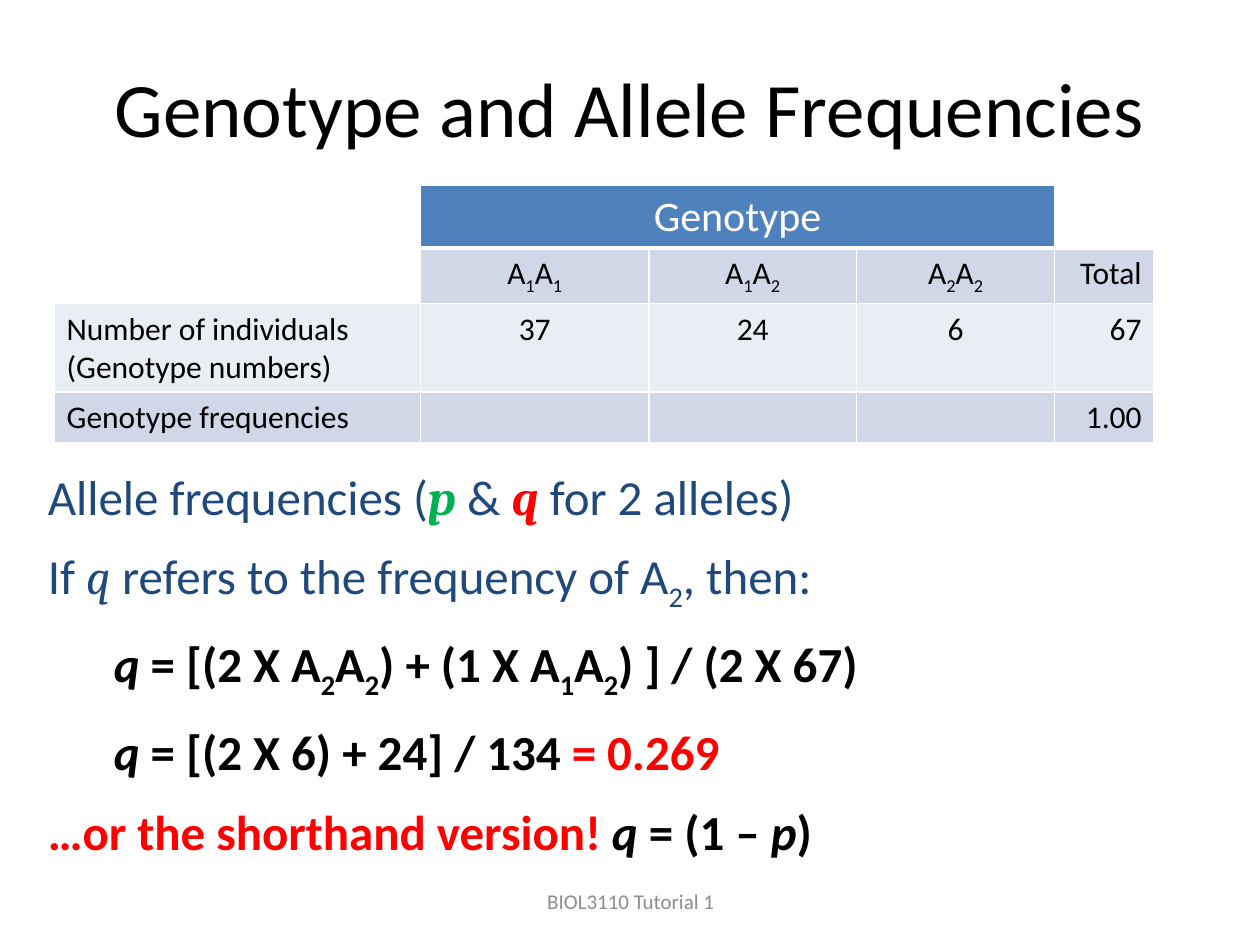
import pptx
import pptx.dml.color
import pptx.enum.text
import pptx.oxml
import pptx.oxml.ns
import pptx.util
from pptx.util import Cm

COLOURS = {
    "black": "000000", "white": "FFFFFF", "navy": "1F497D", "green": "00B050",
    "red": "FF0000", "grey": "8C8C8C", "header": "4F81BD", "dark band": "D0D8E8",
    "light band": "E9EDF4",
}
ALIGN = pptx.enum.text.PP_ALIGN
ANCHOR = pptx.enum.text.MSO_ANCHOR

TITLE = "Genotype and Allele Frequencies"
FOOTER = "BIOL3110 Tutorial 1"

COLUMN_WIDTHS = (7.39, 4.6, 4.19, 3.99, 2.01)
COLUMN_ALIGNS = (ALIGN.LEFT, ALIGN.CENTER, ALIGN.CENTER, ALIGN.CENTER, ALIGN.RIGHT)
# Row height, band colour, cell texts; genotype digits are subscripts
ROWS = [
    (1.22, "header", ("", "Genotype", "", "", "")),
    (1.09, "dark band", ("", "A1A1", "A1A2", "A2A2", "Total")),
    (1.78, "light band", ("Number of individuals (Genotype numbers)", "37", "24", "6", "67")),
    (1.02, "dark band", ("Genotype frequencies", "", "", "", "1.00")),
]
BLANK_CELLS = {(0, 0), (0, 4), (1, 0)}
GENOTYPES_ROW = 1

NAVY = {"colour": "navy"}
BOLD = {"colour": "black", "bold": True}
BOLD_ITALIC = {**BOLD, "italic": True}
BOLD_SUB = {**BOLD, "subscript": True}
BOLD_RED = {**BOLD, "colour": "red"}
SYMBOL = {"name": "Cambria", "italic": True}
# Left indent, then the spans of the line
LINES = [
    (0, [("Allele frequencies (", NAVY), ("p", {**SYMBOL, "bold": True, "colour": "green"}),
         (" & ", NAVY), ("q", {**SYMBOL, "bold": True, "colour": "red"}),
         (" for 2 alleles)", NAVY)]),
    (0, [("If ", NAVY), ("q", {**SYMBOL, **NAVY}), (" refers to the frequency of A", NAVY),
         ("2", {**NAVY, "subscript": True}), (", then:", NAVY)]),
    (1.33, [("q", BOLD_ITALIC), (" = [(2 X A", BOLD), ("2", BOLD_SUB), ("A", BOLD),
            ("2", BOLD_SUB), (") + (1 X A", BOLD), ("1", BOLD_SUB), ("A", BOLD),
            ("2", BOLD_SUB), (") ] / (2 X 67)", BOLD)]),
    (1.33, [("q", BOLD_ITALIC), (" = [(2 X 6) + 24] / 134 ", BOLD), ("= 0.269", BOLD_RED)]),
    (0, [("…or the shorthand version! ", BOLD_RED), ("q", BOLD_ITALIC), (" = (1 – ", BOLD),
         ("p", BOLD_ITALIC), (")", BOLD)]),
]


def rgb(colour):
    return pptx.dml.color.RGBColor.from_string(COLOURS[colour])


def place(shape, left, top, width, height):
    for name, value in zip(("left", "top", "width", "height"), (left, top, width, height)):
        setattr(shape, name, Cm(value))


def add_span(para, text, size, colour="black", subscript=False, **formats):
    span = para.add_run()
    span.text = text
    settings = {"name": "Calibri", "bold": False, "italic": False, **formats}
    for name, value in settings.items():
        setattr(span.font, name, value)
    span.font.size = pptx.util.Pt(size)
    span.font.color.rgb = rgb(colour)
    if subscript:
        span.font._element.set("baseline", "-25000")


def set_borders(cell, bottom_points):
    """Give the cell white borders, 1 pt except at the bottom."""
    properties = cell._tc.get_or_add_tcPr()
    for index, (side, points) in enumerate(
            (("L", 1), ("R", 1), ("T", 1), ("B", bottom_points))):
        properties.insert(index, pptx.oxml.parse_xml(
            f'<a:ln{side} {pptx.oxml.ns.nsdecls("a")} w="{pptx.util.Pt(points)}"><a:solidFill>'
            f'<a:srgbClr val="{COLOURS["white"]}"/></a:solidFill></a:ln{side}>'))


def fill_title(box):
    place(box, 1.27, 0.56, 22.86, 3.18)
    box.text_frame.vertical_anchor = ANCHOR.MIDDLE
    para = box.text_frame.paragraphs[0]
    para.alignment = ALIGN.CENTER
    add_span(para, TITLE, 44)


def fill_body(box):
    place(box, 0.71, 9.27, 23.8, 12.4)
    frame = box.text_frame
    frame.word_wrap = True
    frame.auto_size = pptx.enum.text.MSO_AUTO_SIZE.SHAPE_TO_FIT_TEXT
    for index, (indent, spans) in enumerate(LINES):
        para = frame.add_paragraph() if index else frame.paragraphs[0]
        properties = para._p.get_or_add_pPr()
        properties.set("marL", str(Cm(indent)))
        properties.set("indent", "0")
        properties.append(pptx.oxml.parse_xml(f'<a:buNone {pptx.oxml.ns.nsdecls("a")}/>'))
        para.space_before = pptx.util.Pt(0)
        para.space_after = pptx.util.Pt(12)
        for text, formats in spans:
            add_span(para, text, 28, **formats)


def add_genotype_table(page):
    heights = [height for height, _, _ in ROWS]
    table = page.shapes.add_table(
        len(ROWS), len(COLUMN_WIDTHS), Cm(1.09), Cm(3.73),
        Cm(sum(COLUMN_WIDTHS)), Cm(sum(heights))).table
    for column, width in zip(table.columns, COLUMN_WIDTHS):
        column.width = Cm(width)
    for r, (height, band, texts) in enumerate(ROWS):
        table.rows[r].height = Cm(height)
        size, colour = (24, "white") if r == 0 else (18, "black")
        for c, text in enumerate(texts):
            cell = table.cell(r, c)
            cell.fill.solid()
            cell.fill.fore_color.rgb = rgb("white" if (r, c) in BLANK_CELLS else band)
            set_borders(cell, 3 if r == 0 else 1)
            para = cell.text_frame.paragraphs[0]
            para.alignment = COLUMN_ALIGNS[c]
            for part in (text if r == GENOTYPES_ROW and text.startswith("A") else [text]):
                if part:
                    add_span(para, part, size, colour,
                             subscript=r == GENOTYPES_ROW and part.isdigit())
    table.cell(0, 1).merge(table.cell(0, 3))


def add_footer(page):
    box = page.shapes.add_textbox(Cm(8.69), Cm(17.65), Cm(8.05), Cm(1.02))
    box.text_frame.word_wrap = True
    box.text_frame.vertical_anchor = ANCHOR.MIDDLE
    para = box.text_frame.paragraphs[0]
    para.alignment = ALIGN.CENTER
    add_span(para, FOOTER, 12, "grey")


def main():
    deck = pptx.Presentation()
    deck.slide_width, deck.slide_height = Cm(25.4), Cm(19.05)
    page = deck.slides.add_slide(deck.slide_layouts[1])
    fill_title(page.shapes.title)
    fill_body(page.placeholders[1])
    add_genotype_table(page)
    add_footer(page)
    deck.save("out.pptx")


if __name__ == "__main__":
    main()
